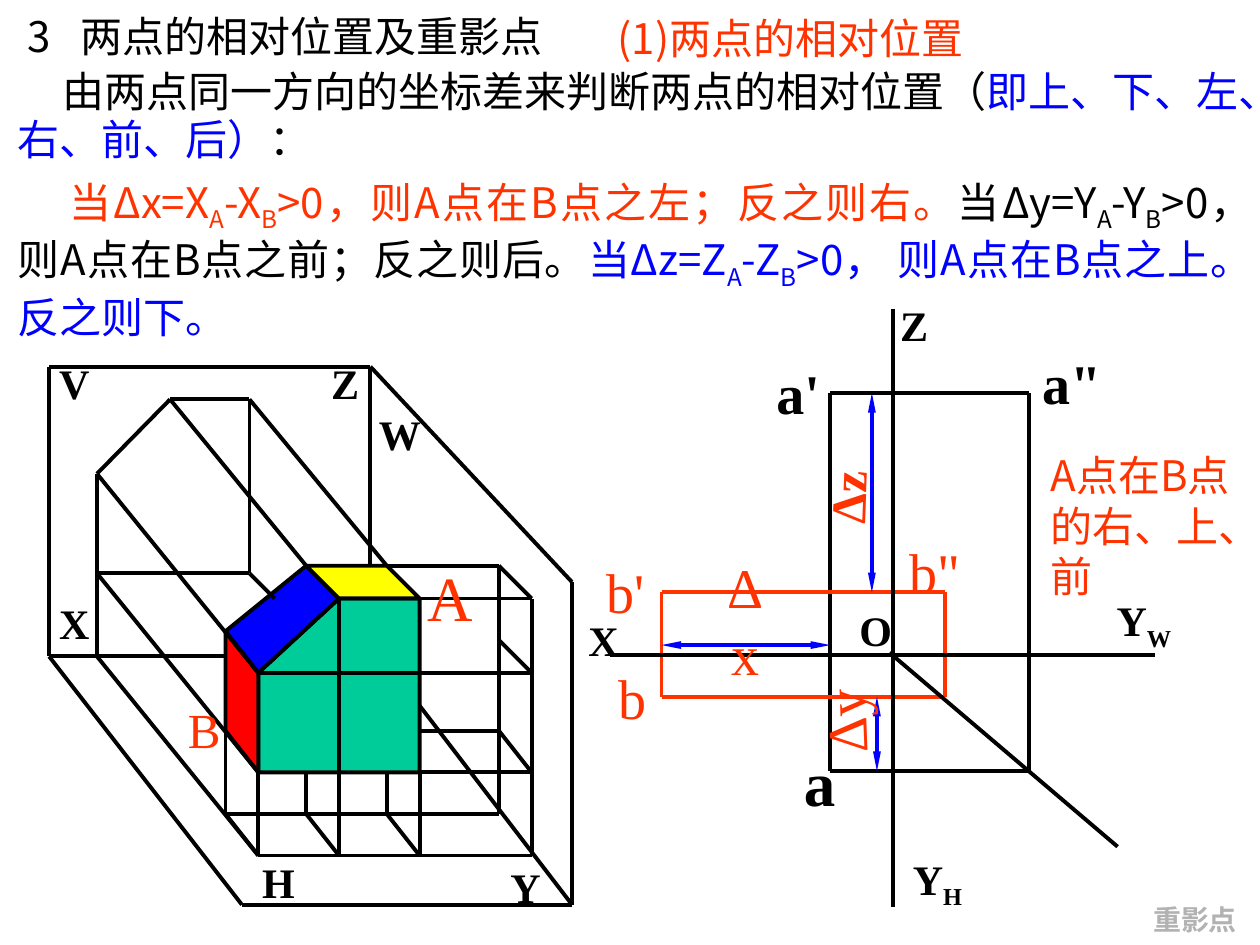
from dataclasses import dataclass
from itertools import pairwise

from lxml import etree
from pptx import Presentation
from pptx.dml.color import RGBColor
from pptx.enum.shapes import MSO_CONNECTOR
from pptx.enum.text import MSO_ANCHOR, MSO_AUTO_SIZE, PP_ALIGN
from pptx.oxml.ns import qn
from pptx.util import Emu, Pt

EMU_PER_PX = 9144
STRAIGHT = MSO_CONNECTOR.STRAIGHT
MIDDLE = MSO_ANCHOR.MIDDLE
NO_FIT = MSO_AUTO_SIZE.NONE
LEFT, CENTER, JUSTIFY = PP_ALIGN.LEFT, PP_ALIGN.CENTER, PP_ALIGN.JUSTIFY


@dataclass(frozen=True)
class Theme:
    """Colours, fonts and type sizes of the slide."""
    black: str = "000000"
    orange: str = "FF3300"
    blue: str = "0000FF"
    red: str = "FF0000"
    green: str = "00CC99"
    yellow: str = "FFFF00"
    grey: str = "B2B2B2"
    sans: str = "Noto Sans CJK SC"
    serif: str = "Times New Roman"
    stroke: float = 2.25
    footer: int = 16
    body: int = 24
    medium: int = 28
    large: int = 32
    huge: int = 36


THEME = Theme()


def px(value):
    """Turn px into EMU."""
    return Emu(value * EMU_PER_PX)


def place(shape, box):
    """Move and size a shape to a px box."""
    shape.left, shape.top, shape.width, shape.height = map(px, box)


def write(shape, runs, size=THEME.body, color=THEME.black, font=THEME.sans, bold=False,
          align=LEFT, wrap=True, indent=0, tab=None, spacing=1.0):
    """Fill a shape with one paragraph of (text, style) runs."""
    frame = shape.text_frame
    frame.word_wrap, frame.auto_size, frame.vertical_anchor = wrap, NO_FIT, MIDDLE
    paragraph = frame.paragraphs[0]
    properties = paragraph._p.get_or_add_pPr()
    properties.set("marL", "0")
    properties.set("indent", str(px(indent)))
    etree.SubElement(properties, qn("a:buNone"))
    if tab:
        tabs = etree.SubElement(properties, qn("a:tabLst"))
        etree.SubElement(tabs, qn("a:tab"), pos=str(px(tab)), algn="l")
    paragraph.alignment, paragraph.line_spacing = align, spacing
    paragraph.space_before = Pt(0)
    paragraph.font.size, paragraph.font.bold = Pt(size), bold
    paragraph.font.name = font
    paragraph.font.color.rgb = RGBColor.from_string(color)
    etree.SubElement(properties.find(qn("a:defRPr")), qn("a:ea"), typeface=THEME.sans)
    for text, style in runs:
        run = paragraph.add_run()
        run.text = text
        if "color" in style:
            run.font.color.rgb = RGBColor.from_string(style["color"])
        if "bold" in style:
            run.font.bold = style["bold"]
        if style.get("subscript"):
            run._r.get_or_add_rPr().set("baseline", "-25000")


def add_text(shapes, box, runs, rotation=0, **style):
    """Add a text box holding one paragraph."""
    shape = shapes.add_textbox(*map(px, box))
    shape.rotation = rotation
    write(shape, runs, **style)


def add_label(shapes, origin, box, text, subscript="", **style):
    """Add a centred serif label relative to an origin."""
    left, top, width, height = box
    runs = [(text, {})] + ([(subscript, {"subscript": True})] if subscript else [])
    options = {"font": THEME.serif, "align": CENTER, "wrap": False, **style}
    add_text(shapes, (origin[0] + left, origin[1] + top, width, height), runs, **options)


def add_lines(shapes, origin, points, color=THEME.black, arrows=False):
    """Join successive points with straight connectors."""
    for (x1, y1), (x2, y2) in pairwise(points):
        connector = shapes.add_connector(
            STRAIGHT, px(origin[0] + x1), px(origin[1] + y1),
            px(origin[0] + x2), px(origin[1] + y2))
        connector.line.color.rgb = RGBColor.from_string(color)
        connector.line.width = Pt(THEME.stroke)
        if arrows:
            outline = connector.line._get_or_add_ln()
            for end in ("a:headEnd", "a:tailEnd"):
                etree.SubElement(outline, qn(end), type="triangle", w="sm", len="lg")
        etree.SubElement(connector._element.spPr, qn("a:effectLst"))


def add_face(shapes, origin, points, color):
    """Add a filled polygon with a black outline."""
    corners = [(px(origin[0] + x), px(origin[1] + y)) for x, y in points]
    builder = shapes.build_freeform(*corners[0])
    builder.add_line_segments(corners[1:], close=True)
    face = builder.convert_to_shape()
    face.shadow.inherit = False
    face.fill.solid()
    face.fill.fore_color.rgb = RGBColor.from_string(color)
    face.line.color.rgb = RGBColor.from_string(THEME.black)
    face.line.width = Pt(THEME.stroke)


def add_solid_view(slide, origin):
    """Draw the solid with its projections on the planes V, H and W."""
    shapes = slide.shapes.add_group_shape().shapes
    for color, points in (
            (THEME.green, [(166, 322), (294, 322), (294, 184), (230, 184), (166, 243)]),
            (THEME.red, [(166, 322), (140, 289), (140, 210), (166, 243)]),
            (THEME.blue, [(140, 210), (204, 158), (230, 184), (166, 243)]),
            (THEME.yellow, [(230, 184), (294, 184), (268, 158), (204, 158)])):
        add_face(shapes, origin, points, color)
    planes = [
        [(255, 158), (255, 0), (0, 0), (0, 230), (140, 230)],
        [(255, 0), (415, 171), (415, 427), (153, 427), (0, 230)],
        [(415, 427), (294, 269)]]
    front = [
        [(38, 230), (38, 85), (96, 26), (159, 26), (159, 164), (38, 164)],
        [(159, 164), (179, 184)]]
    projectors = [
        [(38, 230), (166, 388)], [(38, 85), (166, 243)], [(38, 164), (166, 322)],
        [(96, 26), (204, 158)], [(159, 26), (268, 158)],
        [(166, 243), (383, 243)], [(294, 322), (383, 322)]]
    side = [
        [(268, 158), (357, 158), (383, 184), (294, 184)],
        [(383, 184), (383, 388)], [(357, 158), (357, 355)],
        [(383, 243), (357, 217)], [(383, 322), (357, 289), (294, 289)]]
    ground = [
        [(140, 289), (140, 355), (357, 355)],
        [(140, 355), (166, 388), (383, 388)], [(166, 322), (166, 388)],
        [(294, 322), (294, 388), (268, 355), (268, 322)],
        [(230, 184), (230, 388), (204, 355), (204, 322)]]
    for points in planes + front + projectors + side + ground:
        add_lines(shapes, origin, points)
    for text, left, top, width in (("V", -2, -12, 44), ("Z", 214, -12, 42), ("W", 252, 28, 53),
                                   ("X", -2, 178, 44), ("H", 159, 384, 46), ("Y", 356, 388, 44)):
        add_label(shapes, origin, (left, top, width, 50), text, bold=True)
    add_label(shapes, origin, (290, 147, 56, 70), "A", size=THEME.huge, color=THEME.orange)
    add_label(shapes, origin, (100, 259, 46, 57), "B", size=THEME.medium, color=THEME.orange)


def add_projection_view(slide, origin):
    """Draw the unfolded projections of A and B with their coordinate differences."""
    shapes = slide.shapes.add_group_shape().shapes
    for left, top, right, bottom, color in ((202, 79, 360, 379, THEME.black),
                                            (68, 237, 293, 320, THEME.orange)):
        corners = [(left, top), (right, top), (right, bottom), (left, bottom), (left, top)]
        add_lines(shapes, origin, corners, color)
    for axis in ([(252, 12), (252, 487)], [(27, 287), (460, 287)], [(249, 285), (430, 439)]):
        add_lines(shapes, origin, axis)
    for span in ([(235, 79), (235, 237)], [(239, 320), (239, 379)], [(68, 279), (202, 279)]):
        add_lines(shapes, origin, span, THEME.blue, arrows=True)
    for text, subscript, left, top, width in (
            ("O", "", 215, 242, 46), ("X", "", 0, 250, 44), ("Z", "", 252, 0, 33),
            ("Y", "W", 418, 237, 66), ("Y", "H", 256, 442, 62)):
        add_label(shapes, origin, (left, top, width, 50), text, subscript, bold=True)
    large = {"size": THEME.large}
    orange = {"size": THEME.large, "color": THEME.orange}
    for text, box, style in (
            ('a"', (352, 39, 83, 63), {**large, "bold": True}),
            ("a'", (143, 47, 67, 63), {**large, "bold": True}),
            ("a", (171, 352, 45, 70), {"size": THEME.huge, "bold": True}),
            ("b'", (12, 205, 55, 63), orange),
            ("b", (24, 289, 42, 63), orange),
            ('b"', (255, 189, 60, 63), orange),
            ("Δx", (101, 227, 68, 64), {**orange, "wrap": True}),
            ("Δy", (168, 308, 90, 63), {**orange, "rotation": 267.8}),
            ("Δz", (182, 133, 66, 57),
             {**orange, "size": THEME.medium, "bold": True, "rotation": 272.2})):
        add_label(shapes, origin, box, text, **style)


def difference_runs(axis, color, ending):
    """Return the runs of one coordinate difference rule."""
    style = {"color": color}
    low = {"color": color, "subscript": True}
    return [(f"当Δ{axis}={axis.upper()}", style), ("A", low), (f"-{axis.upper()}", style),
            ("B", low), (f">0，{ending}", style)]


def add_heading(slide, title_box, subtitle_box):
    """Place the title and the subtitle beside it."""
    place(slide.shapes.title, title_box)
    write(slide.shapes.title, [("3\t两点的相对位置及重影点", {})], indent=8, tab=50)
    add_text(slide.shapes, subtitle_box, [("(1)两点的相对位置", {})],
             color=THEME.orange, align=CENTER, wrap=False)


def add_rules(slide, intro_box, rules_box):
    """Place the introduction and the three rules."""
    add_text(slide.shapes, intro_box, [
        ("由两点同一方向的坐标差来判断两点的相对位置（", {}),
        ("即上、下、左、右、前、后）", {"color": THEME.blue}), ("：", {})],
        indent=36, spacing=0.95)
    body = slide.placeholders[1]
    place(body, rules_box)
    runs = (difference_runs("x", THEME.orange, "则A点在B点之左；反之则右。")
            + difference_runs("y", THEME.black, "则A点在B点之前；反之则后。")
            + difference_runs("z", THEME.blue, " 则A点在B点之上。反之则下。"))
    write(body, runs, align=JUSTIFY, indent=41)


def main():
    """Build and save the slide."""
    presentation = Presentation()
    presentation.slide_width, presentation.slide_height = px(1000), px(750)
    slide = presentation.slides.add_slide(presentation.slide_layouts[1])
    add_heading(slide, (4, 0, 608, 57), (476, 5, 303, 50))
    add_rules(slide, (4, 47, 1000, 92), (4, 137, 1000, 137))
    add_solid_view(slide, (39, 291))
    add_projection_view(slide, (457, 233))
    add_text(slide.shapes, (824, 372, 192, 90), [("A点在B点的右、上、前", {})], color=THEME.orange)
    add_label(slide.shapes, (0, 0), (905, 711, 87, 37), "重影点",
              size=THEME.footer, color=THEME.grey, bold=True)
    presentation.save("out.pptx")


if __name__ == "__main__":
    main()
